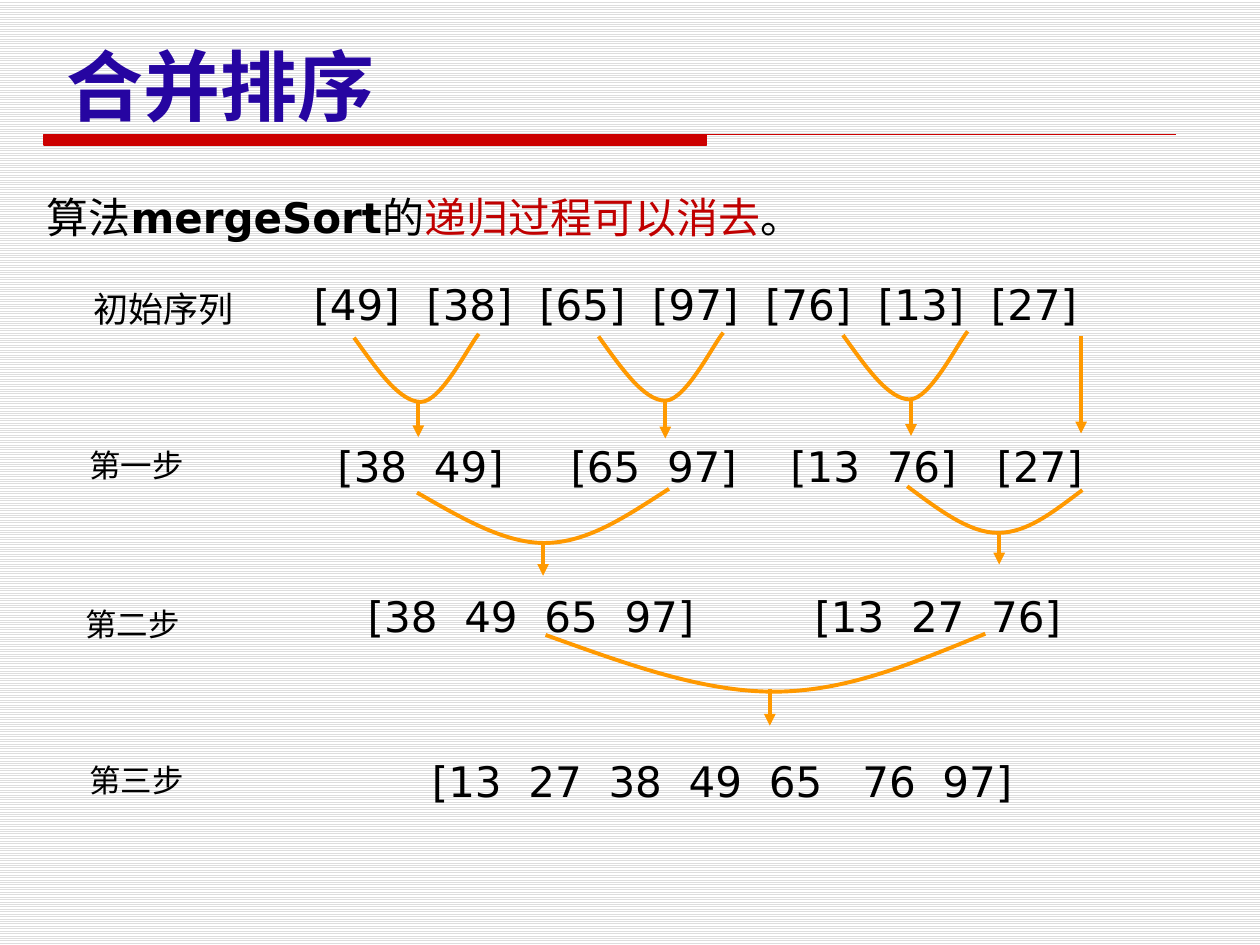
from dataclasses import dataclass
from itertools import accumulate

from pptx import Presentation
from pptx.dml.color import RGBColor
from pptx.enum.dml import MSO_PATTERN
from pptx.enum.shapes import MSO_CONNECTOR
from pptx.enum.text import MSO_ANCHOR, PP_ALIGN
from pptx.oxml.ns import qn
from pptx.util import Inches, Pt
from lxml.etree import SubElement

COLS, ROWS = 100, 75
WIDE, HIGH = Inches(10), Inches(7.5)
GLYPH = {"[": 0.39, "]": 0.39, " ": 0.318}
DIGIT = 0.636


@dataclass(frozen=True)
class Theme:
    ink: str = "000000"
    title: str = "2605A1"
    stress: str = "C00000"
    bar: str = "CC0000"
    arc: str = "FF9900"
    paper: str = "FFFFFF"
    stripe: str = "DDDDDD"
    latin: str = "DejaVu Sans"
    han: str = "Noto Sans CJK SC"
    head: int = 44
    body: int = 24
    label: int = 20
    step: int = 18
    stroke: float = 2.25
    thin: float = 0.75


LOOK = Theme()


def color(code):
    return RGBColor.from_string(code)


def col(n):
    return round(WIDE * n / COLS)


def row(n):
    return round(HIGH * n / ROWS)


def spot(point):
    return col(point[0]), row(point[1])


def place(shape, x, y, w, h):
    shape.left, shape.top = col(x), row(y)
    shape.width, shape.height = col(w), row(h)


def style(run, size, tint=LOOK.ink, bold=False, face=LOOK.latin):
    font = run.font
    font.size, font.bold, font.name = Pt(size), bold, face
    font.color.rgb = color(tint)
    east = SubElement(run._r.get_or_add_rPr(), qn("a:ea"))
    east.set("typeface", LOOK.han)


def add_title(slide, text):
    shape = slide.shapes.title
    place(shape, 4.3, 0.5, 85, 12.5)
    frame = shape.text_frame
    frame.text = text
    frame.vertical_anchor = MSO_ANCHOR.MIDDLE
    para = frame.paragraphs[0]
    para.alignment = PP_ALIGN.LEFT
    style(para.runs[0], LOOK.head, LOOK.title, True, LOOK.han)


def add_lead(slide, parts):
    shape = slide.placeholders[1]
    place(shape, 2.7, 14.7, 93.7, 5)
    para = shape.text_frame.paragraphs[0]
    props = para._p.get_or_add_pPr()
    props.set("marL", "0")
    props.set("indent", "0")
    SubElement(props, qn("a:buNone"))
    para.space_before = Pt(0)
    for text, tint, bold in parts:
        run = para.add_run()
        run.text = text
        style(run, LOOK.body, tint, bold)


def add_text(slide, text, size, x, y, w, h):
    box = slide.shapes.add_textbox(col(x), row(y), col(w), row(h))
    frame = box.text_frame
    frame.word_wrap = False
    frame.text = text
    para = frame.paragraphs[0]
    style(para.runs[0], size)
    return para


def span(text):
    return sum(GLYPH.get(c, DIGIT) for c in text) * LOOK.body


def add_keys(slide, keys, gaps, x, y, w):
    para = add_text(slide, "\t".join(keys), LOOK.body, x, y, w, 5)
    tabs = SubElement(para._p.get_or_add_pPr(), qn("a:tabLst"))
    steps = (span(key + " " * gap) for key, gap in zip(keys, gaps))
    for stop in accumulate(steps):
        SubElement(tabs, qn("a:tab"), pos=str(Pt(stop)), algn="l")


def paint(line, tint, width):
    line.color.rgb = color(tint)
    line.width = Pt(width)


def add_arrow(slide, x, top, end):
    arrow = slide.shapes.add_connector(
        MSO_CONNECTOR.STRAIGHT, *spot((x, top)), *spot((x, end)))
    paint(arrow.line, LOOK.arc, LOOK.stroke)
    props = arrow._element.spPr
    SubElement(props.find(qn("a:ln")), qn("a:tailEnd"), type="triangle")
    SubElement(props, qn("a:effectLst"))


def bend(shape, pulls):
    track = next(shape._element.iter(qn("a:path")))
    dots = [(int(p.get("x")), int(p.get("y"))) for p in track.iter(qn("a:pt"))]
    for leg in track.findall(qn("a:lnTo")):
        track.remove(leg)
    for start, end, pair in zip(dots, dots[1:], pulls):
        leg = SubElement(track, qn("a:cubicBezTo"))
        for share in (*pair, (1, 1)):
            x, y = (round(a + (b - a) * s) for a, b, s in zip(start, end, share))
            SubElement(leg, qn("a:pt"), x=str(x), y=str(y))


def add_arc(slide, start, low, end, last=(0.66, 0.5)):
    pen = slide.shapes.build_freeform(*spot(start))
    pen.add_line_segments([spot(low), spot(end)], close=False)
    shape = pen.convert_to_shape()
    bend(shape, (((0.34, 0.49), (0.68, 1)), ((0.35, 0), last)))
    shape.shadow.inherit = False
    shape.fill.background()
    paint(shape.line, LOOK.arc, LOOK.stroke)


def add_rule(slide):
    left, top, mid, end, base = 3.5, 10.7, 56.1, 93.3, 11.5
    pen = slide.shapes.build_freeform(*spot((left, top)))
    edge = ((mid, top), (mid, base), (left, base))
    pen.add_line_segments([spot(p) for p in edge])
    pen.move_to(*spot((left, top)))
    pen.add_line_segments([spot((end, top))], close=False)
    shape = pen.convert_to_shape()
    shape.shadow.inherit = False
    shape.fill.solid()
    shape.fill.fore_color.rgb = color(LOOK.bar)
    paint(shape.line, LOOK.bar, LOOK.thin)


def add_back(slide):
    fill = slide.background.fill
    fill.patterned()
    fill.pattern = MSO_PATTERN.LIGHT_HORIZONTAL
    fill.fore_color.rgb = color(LOOK.stripe)
    fill.back_color.rgb = color(LOOK.paper)


def add_merges(slide):
    for i in range(3):
        x, y = 28.1 + 19.4 * i, 26.8 - 0.1 * i
        add_arc(slide, (x, y), (x + 5.3, y + 5.1), (x + 9.9, y - 0.3), (0.83, 0.83))
    for x, top in ((33.2, 31.8), (52.8, 31.9), (72.3, 31.7)):
        add_arrow(slide, x, top, top + 2.9)
    add_arrow(slide, 85.8, 26.7, 34.4)
    add_arc(slide, (33.1, 39.1), (43.2, 43.1), (53.1, 38.8))
    add_arrow(slide, 43.1, 43.2, 45.7)
    add_arc(slide, (72, 38.6), (79.2, 42.3), (85.9, 38.9))
    add_arrow(slide, 79.3, 42.3, 44.8)
    add_arc(slide, (43.3, 50.4), (61.4, 54.9), (78.2, 50.3))
    add_arrow(slide, 61.1, 54.7, 57.6)


def main():
    deck = Presentation()
    deck.slide_width, deck.slide_height = WIDE, HIGH
    slide = deck.slides.add_slide(deck.slide_layouts[1])
    add_back(slide)
    add_rule(slide)
    add_title(slide, "合并排序")
    add_lead(slide, (("算法", LOOK.ink, False), ("mergeSort", LOOK.ink, True),
                     ("的", LOOK.ink, False), ("递归过程可以消去", LOOK.stress, False),
                     ("。", LOOK.ink, False)))
    add_text(slide, "初始序列", LOOK.label, 6.4, 22.3, 13.1, 4.3)
    for text, x, y in (("第一步", 6.1, 34.9), ("第二步", 5.8, 47.5), ("第三步", 6.1, 59.9)):
        add_text(slide, text, LOOK.step, x, y, 9.5, 4)
    for keys, gaps, x, y, w in (
        ("[49] [38] [65] [97] [76] [13] [27]", (2,) * 6, 23.9, 21.6, 67),
        ("[38 49] [65 97] [13 76] [27]", (2, 5, 2, 4, 2, 3), 25.8, 34.5, 65),
        ("[38 49 65 97] [13 27 76]", (2, 2, 2, 9, 2, 2), 28.2, 46.4, 60.1),
        ("[13 27 38 49 65 76 97]", (2, 2, 2, 2, 3, 2), 33.3, 59.5, 50),
    ):
        add_keys(slide, keys.split(), gaps, x, y, w)
    add_merges(slide)
    deck.save("out.pptx")


if __name__ == "__main__":
    main()
